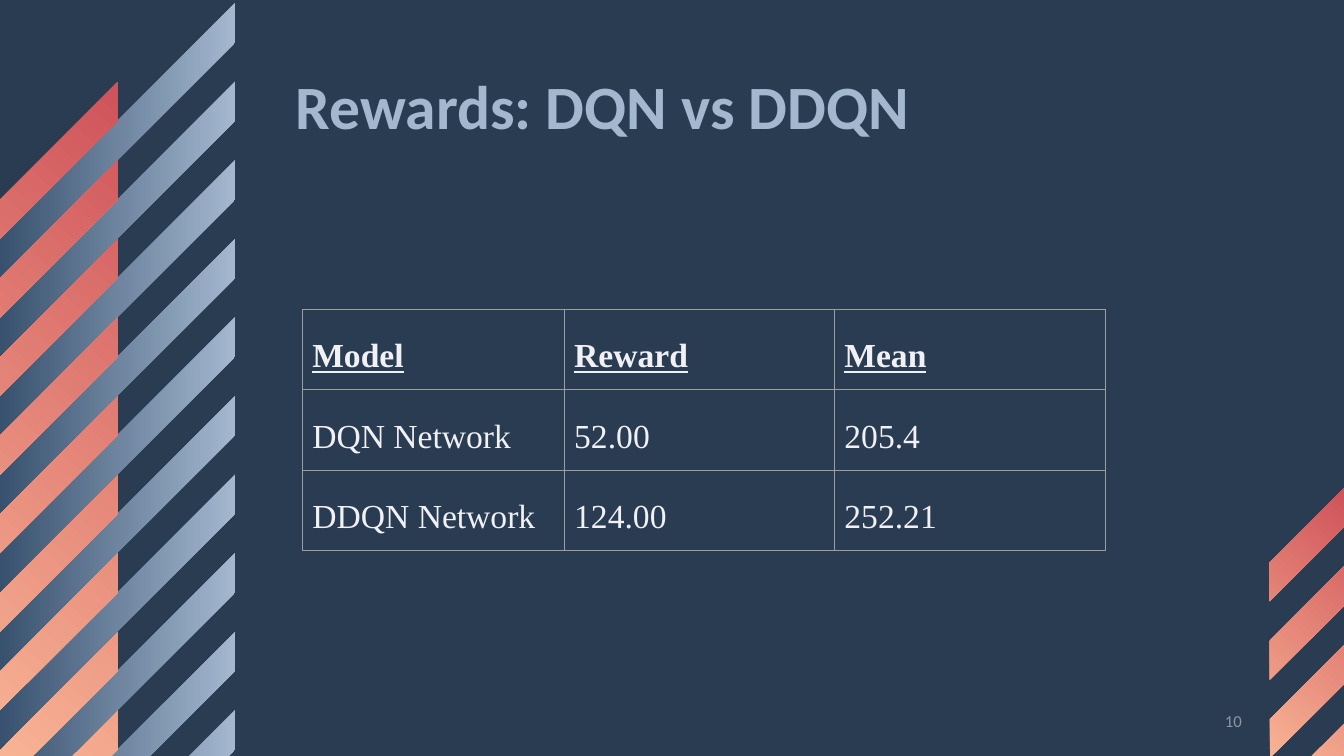
from lxml.etree import SubElement
from pptx import Presentation
from pptx.dml.color import RGBColor
from pptx.enum.text import MSO_ANCHOR, PP_ALIGN
from pptx.oxml.ns import qn
from pptx.util import Cm, Pt

SLIDE_WIDTH, SLIDE_HEIGHT = 33.87, 19.05
STRIPE_PITCH, STRIPE_THICKNESS = 1.98, 0.98

NAVY = RGBColor(0x2A, 0x3C, 0x52)
STEEL = RGBColor(0x38, 0x51, 0x6E)
PALE_BLUE = RGBColor(0xA3, 0xB8, 0xCF)
PEACH = RGBColor(0xF8, 0xB3, 0x94)
RED = RGBColor(0xCF, 0x53, 0x5A)
GREY = RGBColor(0x8E, 0x96, 0xA2)
BORDER = RGBColor(0x9E, 0x9E, 0x9E)
WHITE = RGBColor(0xF0, 0xF0, 0xF5)

REWARDS = [
    ("Model", "Reward", "Mean"),
    ("DQN Network", "52.00", "205.4"),
    ("DDQN Network", "124.00", "252.21"),
]
COLUMN_WIDTHS = (6.6, 6.81, 6.83)
ROW_HEIGHT = 1.91


def stripe_outline(left, right, top):
    """Corners of a 45 degree stripe, cut off at the slide's bottom edge."""
    bottom = top + STRIPE_THICKNESS
    lower_x = max(left, right - max(0, SLIDE_HEIGHT - bottom))
    upper_x = max(left, right - (SLIDE_HEIGHT - top))
    corners = [
        (right, top),
        (right, bottom),
        (lower_x, bottom + right - lower_x),
        (upper_x, bottom + right - upper_x),
        (upper_x, top + right - upper_x),
    ]
    return [(Cm(x), Cm(min(y, SLIDE_HEIGHT))) for x, y in corners]


def add_stripes(slide, left, right, first_top, count, colors, angle):
    """Draw all stripes of a band as one shape, so they share one gradient."""
    outlines = [
        stripe_outline(left, right, first_top + index * STRIPE_PITCH)
        for index in range(count)
    ]
    builder = slide.shapes.build_freeform(*outlines[0][0])
    for start, *corners in outlines:
        builder.move_to(*start)
        builder.add_line_segments(corners, close=True)
    shape = builder.convert_to_shape()
    shape.shadow.inherit = False
    shape.line.fill.background()
    shape.fill.gradient()
    shape.fill.gradient_angle = angle
    for stop, color in zip(shape.fill.gradient_stops, colors):
        stop.color.rgb = color


def style_font(font, name, size, color, bold=False):
    font.name = name
    font.size = Pt(size)
    font.color.rgb = color
    font.bold = bold


def add_text(slide, text, box, size, color, bold=False, align=PP_ALIGN.LEFT):
    frame = slide.shapes.add_textbox(*map(Cm, box)).text_frame
    frame.word_wrap = True
    frame.vertical_anchor = MSO_ANCHOR.MIDDLE
    paragraph = frame.paragraphs[0]
    paragraph.text = text
    paragraph.alignment = align
    style_font(paragraph.font, "Calibri", size, color, bold)
    return paragraph


def add_cell_borders(cell):
    properties = cell._tc.get_or_add_tcPr()
    for side in ("a:lnL", "a:lnR", "a:lnT", "a:lnB"):
        line = SubElement(properties, qn(side), w=str(Pt(0.75)))
        fill = SubElement(line, qn("a:solidFill"))
        SubElement(fill, qn("a:srgbClr"), val=str(BORDER))


def fill_cell(cell, text, is_header):
    add_cell_borders(cell)
    cell.fill.background()
    cell.margin_left = cell.margin_right = Cm(0.25)
    cell.margin_top = cell.margin_bottom = Cm(0.25)
    paragraph = cell.text_frame.paragraphs[0]
    paragraph.text = text
    paragraph.line_spacing = 1.5
    style_font(paragraph.font, "Times New Roman", 24, WHITE, is_header)
    paragraph.font.underline = is_header


def add_rewards_table(slide, left, top):
    table = slide.shapes.add_table(
        len(REWARDS), len(COLUMN_WIDTHS), Cm(left), Cm(top),
        Cm(sum(COLUMN_WIDTHS)), Cm(ROW_HEIGHT * len(REWARDS)),
    ).table
    table.horz_banding = False
    for column, width in zip(table.columns, COLUMN_WIDTHS):
        column.width = Cm(width)
    for row_index, (row, texts) in enumerate(zip(table.rows, REWARDS)):
        row.height = Cm(ROW_HEIGHT)
        for cell, text in zip(row.cells, texts):
            fill_cell(cell, text, is_header=row_index == 0)


def main():
    presentation = Presentation()
    presentation.slide_width = Cm(SLIDE_WIDTH)
    presentation.slide_height = Cm(SLIDE_HEIGHT)
    slide = presentation.slides.add_slide(presentation.slide_layouts[6])
    slide.background.fill.solid()
    slide.background.fill.fore_color.rgb = NAVY

    add_stripes(slide, 0, 5.93, 0.08, 10, (STEEL, PALE_BLUE), 0)
    add_stripes(slide, 0, 2.97, 2.07, 9, (PEACH, RED), 50)
    add_stripes(slide, 32, SLIDE_WIDTH, 12.3, 4, (PEACH, RED), 50)

    title = add_text(slide, "Rewards: DQN vs DDQN", (7.21, 0.91, 25.27, 3.68),
                     44, PALE_BLUE, bold=True)
    title.line_spacing = 0.9
    add_text(slide, "10", (23.93, 17.65, 7.62, 1.02), 12, GREY,
             align=PP_ALIGN.RIGHT)
    add_rewards_table(slide, 7.62, 7.8)
    presentation.save("out.pptx")


if __name__ == "__main__":
    main()
